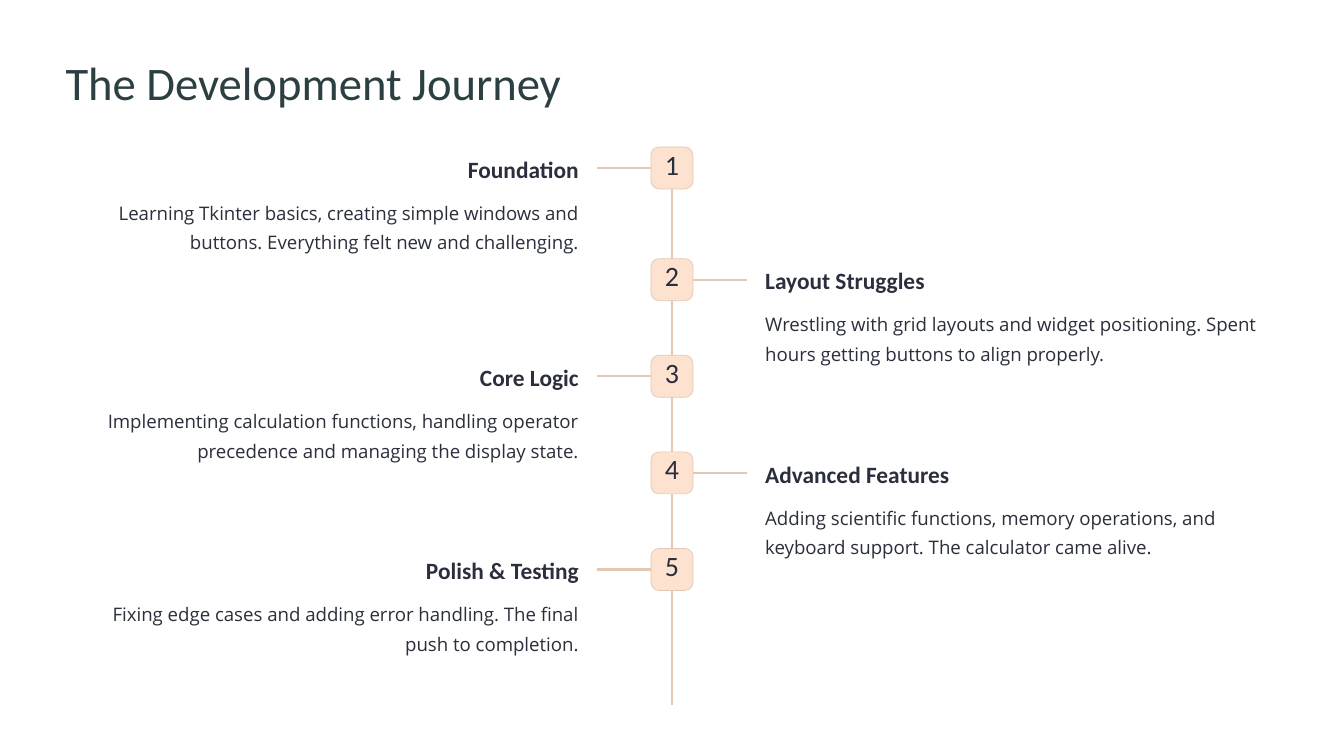
from dataclasses import dataclass

from pptx import Presentation
from pptx.dml.color import RGBColor
from pptx.enum.shapes import MSO_CONNECTOR, MSO_SHAPE
from pptx.enum.text import MSO_ANCHOR, MSO_AUTO_SIZE, PP_ALIGN
from pptx.oxml.xmlchemy import OxmlElement
from pptx.shapes.autoshape import Shape
from pptx.shapes.connector import Connector
from pptx.slide import Slide
from pptx.text.text import TextFrame
from pptx.util import Emu, Pt


@dataclass(frozen=True)
class TextStyle:
    font: str
    size: float
    leading: float
    color: RGBColor
    bold: bool = False


@dataclass(frozen=True)
class Theme:
    background: RGBColor = RGBColor(0xFF, 0xFF, 0xFF)
    rule: RGBColor = RGBColor(0xE2, 0xC8, 0xB5)
    badge: RGBColor = RGBColor(0xFC, 0xE2, 0xCF)
    rule_width: float = 2
    badge_border: float = 0.6
    title: TextStyle = TextStyle("Calibri", 40, 50, RGBColor(0x2C, 0x3F, 0x42))
    number: TextStyle = TextStyle("Calibri", 24, 24, RGBColor(0x2B, 0x2E, 0x3C))
    heading: TextStyle = TextStyle("Calibri", 20, 25, RGBColor(0x2B, 0x2E, 0x3C), True)
    detail: TextStyle = TextStyle("Open Sans", 16, 25.5, RGBColor(0x2B, 0x2E, 0x3C))


@dataclass(frozen=True)
class Stage:
    top: int
    heading: str
    detail: str


THEME = Theme()
EMU_PER_PX = 9144  # 100 px to the inch
WIDTH, HEIGHT = 1600, 900
CENTER = WIDTH // 2
MARGIN = 78
SPINE_TOP, SPINE_BOTTOM = 175, 839
BADGE = 50
STUB_REACH = 89  # from the spine to the outer end of a stub
TEXT_REACH = 111  # from the spine to the text
TEXT_WIDTH = CENTER - TEXT_REACH - MARGIN
SECOND_TOP, STEP = 308, 115

STAGES = [
    Stage(SPINE_TOP, "Foundation",
          "Learning Tkinter basics, creating simple windows and buttons. "
          "Everything felt new and challenging."),
    Stage(SECOND_TOP, "Layout Struggles",
          "Wrestling with grid layouts and widget positioning. "
          "Spent hours getting buttons to align properly."),
    Stage(SECOND_TOP + STEP, "Core Logic",
          "Implementing calculation functions, handling operator precedence "
          "and managing the display state."),
    Stage(SECOND_TOP + 2 * STEP, "Advanced Features",
          "Adding scientific functions, memory operations, and keyboard support. "
          "The calculator came alive."),
    Stage(SECOND_TOP + 3 * STEP, "Polish & Testing",
          "Fixing edge cases and adding error handling. "
          "The final push to completion."),
]


def px(length: int) -> Emu:
    return Emu(length * EMU_PER_PX)


def write(frame: TextFrame, text: str, style: TextStyle, align: PP_ALIGN,
          inset_top: int = 0) -> None:
    frame.word_wrap = True
    frame.auto_size = MSO_AUTO_SIZE.NONE
    frame.vertical_anchor = MSO_ANCHOR.TOP
    frame.margin_left = frame.margin_right = frame.margin_bottom = 0
    frame.margin_top = px(inset_top)
    paragraph = frame.paragraphs[0]
    paragraph.text = text
    paragraph.alignment = align
    paragraph.line_spacing = Pt(style.leading)
    paragraph.space_before = Pt(0)
    paragraph.font.name = style.font
    paragraph.font.size = Pt(style.size)
    paragraph.font.bold = style.bold
    paragraph.font.color.rgb = style.color


def add_title(slide: Slide, text: str) -> None:
    title = slide.shapes.title
    title.left, title.top, title.width, title.height = map(px, (MARGIN, 61, 672, 69))
    write(title.text_frame, text, THEME.title, PP_ALIGN.LEFT)


def add_rule(slide: Slide, x1: int, y1: int, x2: int, y2: int) -> Connector:
    rule = slide.shapes.add_connector(
        MSO_CONNECTOR.STRAIGHT, px(x1), px(y1), px(x2), px(y2))
    rule.line.color.rgb = THEME.rule
    rule.line.width = Pt(THEME.rule_width)
    rule.element.spPr.append(OxmlElement("a:effectLst"))
    return rule


def add_badge(slide: Slide, number: int, top: int) -> Shape:
    badge = slide.shapes.add_shape(
        MSO_SHAPE.ROUNDED_RECTANGLE,
        px(CENTER - BADGE // 2), px(top), px(BADGE), px(BADGE))
    badge.adjustments[0] = 0.19
    badge.shadow.inherit = False
    badge.fill.solid()
    badge.fill.fore_color.rgb = THEME.badge
    badge.line.color.rgb = THEME.rule
    badge.line.width = Pt(THEME.badge_border)
    write(badge.text_frame, str(number), THEME.number, PP_ALIGN.CENTER, inset_top=4)
    return badge


def add_text(slide: Slide, left: int, top: int, height: int, text: str,
             style: TextStyle, align: PP_ALIGN) -> None:
    box = slide.shapes.add_textbox(px(left), px(top), px(TEXT_WIDTH), px(height))
    write(box.text_frame, text, style, align)


def add_stage(slide: Slide, number: int, stage: Stage) -> Shape:
    """Odd stages stand left of the spine, even ones right."""
    on_left = number % 2 == 1
    side = -1 if on_left else 1
    align = PP_ALIGN.RIGHT if on_left else PP_ALIGN.LEFT
    text_left = MARGIN if on_left else CENTER + TEXT_REACH
    middle = stage.top + BADGE // 2

    badge = add_badge(slide, number, stage.top)
    stub = add_rule(slide, CENTER + side * STUB_REACH, middle,
                    CENTER + side * BADGE // 2, middle)
    stub.end_connect(badge, 1 if on_left else 3)
    add_text(slide, text_left, stage.top + 8, 35, stage.heading, THEME.heading, align)
    add_text(slide, text_left, stage.top + 56, 71, stage.detail, THEME.detail, align)
    return badge


def main() -> None:
    presentation = Presentation()
    presentation.slide_width, presentation.slide_height = px(WIDTH), px(HEIGHT)
    slide = presentation.slides.add_slide(presentation.slide_layouts[5])
    slide.background.fill.solid()
    slide.background.fill.fore_color.rgb = THEME.background

    add_title(slide, "The Development Journey")

    # Spine first, so that the badges cover it
    spine = add_rule(slide, CENTER, SPINE_TOP, CENTER, SPINE_BOTTOM)
    badges = [add_stage(slide, number, stage)
              for number, stage in enumerate(STAGES, start=1)]
    spine.begin_connect(badges[0], 0)

    presentation.save("out.pptx")


if __name__ == "__main__":
    main()
